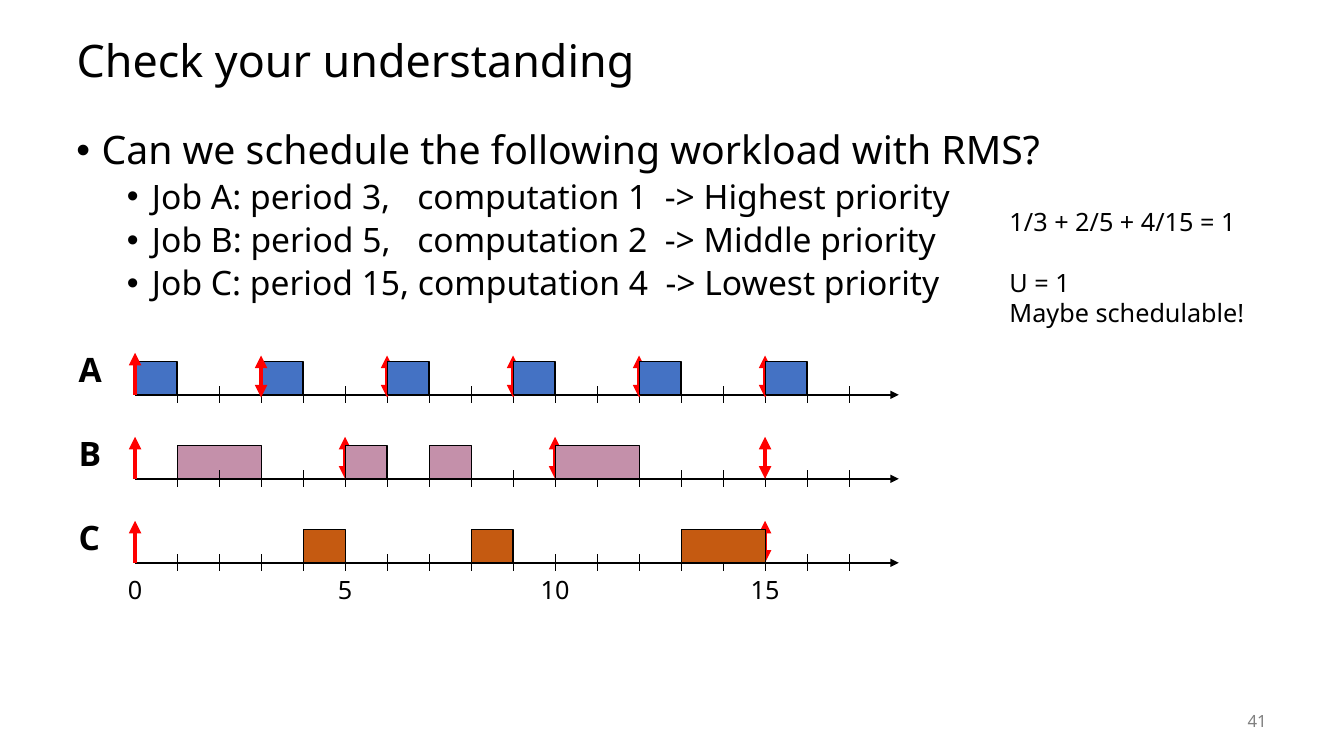
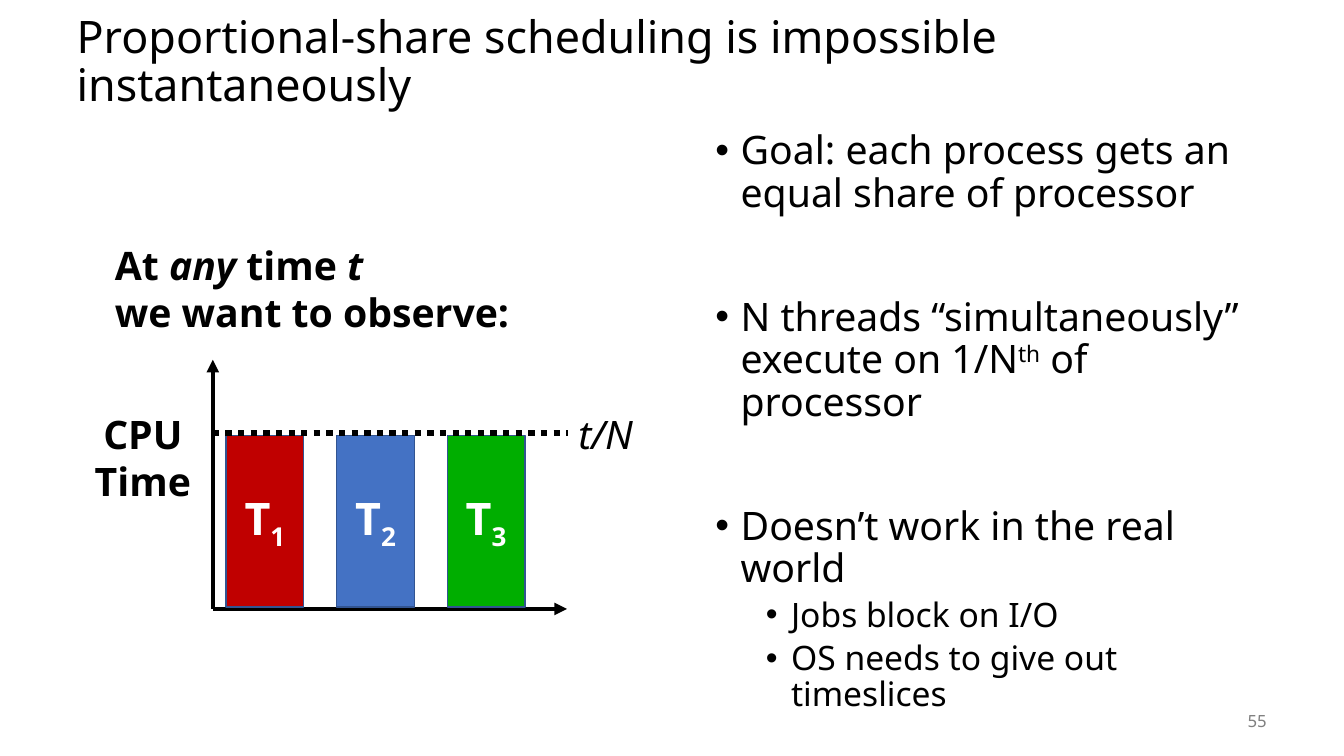
from pptx import Presentation
from pptx.dml.color import RGBColor
from pptx.enum.dml import MSO_LINE
from pptx.enum.shapes import MSO_CONNECTOR, MSO_SHAPE
from pptx.enum.text import MSO_ANCHOR, MSO_AUTO_SIZE, PP_ALIGN
from pptx.oxml.ns import qn
from pptx.util import Pt
from lxml.etree import SubElement

FONT = "Noto Sans"
COLORS = {
    "black": "000000", "white": "FFFFFF", "gray": "808080", "red": "FF0000",
    "blue": "4472C4", "pink": "C490AA", "orange": "C55A11",
    "crimson": "C00000", "green": "00AE00", "navy": "325491",
}

RMS_TITLE = "Check your understanding"
RMS_BULLETS = [
    (0, 14, "Can we schedule the following workload with RMS?"),
    (1, 5, "Job A: period 3,\tcomputation 1  -> Highest priority"),
    (1, 5, "Job B: period 5,\tcomputation 2  -> Middle priority"),
    (1, 5, "Job C: period 15, computation 4  -> Lowest priority"),
]
RMS_SUM = "1/3 + 2/5 + 4/15 = 1"
RMS_VERDICT = ["U = 1", "Maybe schedulable!"]
JOBS = [
    {"name": "A", "color": "blue", "deadlines": [3, 6, 9, 12, 15], "drop": 2,
     "under": [(0, 1), (3, 1)], "over": [(6, 1), (9, 1), (12, 1), (15, 1)]},
    {"name": "B", "color": "pink", "deadlines": [5, 10, 15], "drop": 0,
     "under": [(1, 2)], "over": [(5, 1), (7, 1), (10, 2)]},
    {"name": "C", "color": "orange", "deadlines": [15], "drop": 0,
     "under": [(4, 1)], "over": [(8, 1), (13, 2)]},
]
TIME_LABELS = [0, 5, 10, 15]

SHARE_TITLE = "Proportional-share scheduling is impossible instantaneously"
SHARE_BULLETS = [
    (0, 14, "Goal: each process gets an equal share of processor"),
    (0, 58.5, [("N threads “simultaneously” execute on 1/N", {}),
               ("th", {"base": 30}), (" of processor", {})]),
    (0, 58.5, "Doesn’t work in the real world"),
    (1, 5, "Jobs block on I/O"),
    (1, 5, "OS needs to give out timeslices"),
]
SHARE_INTRO = [
    [("At ", {}), ("any", {"italic": True}), (" time ", {}), ("t", {"italic": True})],
    "we want to observe:",
]
THREADS = [("1", "crimson"), ("2", "blue"), ("3", "green")]

ORIGIN, UNIT, FIRST_ROW, ROW_STEP = 96.5, 30, 282, 60
AXIS_END, LAST_TICK, JOB_HEIGHT = 642, 17, 24


def rgb(name):
    return RGBColor.from_string(COLORS[name])


def write_para(para, spans, size=18, color="black", bold=False, italic=False,
               align=PP_ALIGN.LEFT, spacing=1.0, before=0):
    para.alignment, para.line_spacing = align, spacing
    para.space_before = Pt(before)
    for text, extra in [(spans, {})] if isinstance(spans, str) else spans:
        span = para.add_run()
        span.text = text
        font = span.font
        font.name, font.size, font.bold = FONT, Pt(size), bold
        font.italic = extra.get("italic", italic)
        font.color.rgb = rgb(color)
        if "base" in extra:
            span._r.get_or_add_rPr().set("baseline", str(extra["base"] * 1000))


def next_para(frame):
    first = frame.paragraphs[0]
    return frame.add_paragraph() if first.runs else first


def write(frame, paragraphs, **style):
    for spans in paragraphs:
        write_para(next_para(frame), spans, **style)


def add_text(page, left, top, width, height, paragraphs, wrap=True,
             anchor=MSO_ANCHOR.TOP, **style):
    frame = page.shapes.add_textbox(Pt(left), Pt(top), Pt(width), Pt(height)).text_frame
    frame.word_wrap, frame.vertical_anchor = wrap, anchor
    write(frame, paragraphs, **style)
    return frame


def add_bullets(page, left, width, items):
    frame = add_text(page, left, 90, width, 396, [])
    for level, before, spans in items:
        para = next_para(frame)
        write_para(para, spans, size=28 - 4 * level, spacing=0.9, before=before)
        para.level = level
        props = para._p.get_or_add_pPr()
        props.set("marL", str(Pt(18 + 36 * level)))
        props.set("indent", str(Pt(-18)))
        SubElement(props, qn("a:buFont"), typeface="Arial")
        SubElement(props, qn("a:buChar"), char="•")
        if "\t" in spans:
            tabs = SubElement(props, qn("a:tabLst"))
            SubElement(tabs, qn("a:tab"), pos=str(Pt(243.5)), algn="l")


def add_line(page, x1, y1, x2, y2, width, color="black", head=False, tail=False, dash=None):
    ends = [Pt(value) for value in (x1, y1, x2, y2)]
    connector = page.shapes.add_connector(MSO_CONNECTOR.STRAIGHT, *ends)
    connector.line.width = Pt(width)
    connector.line.color.rgb = rgb(color)
    if dash:
        connector.line.dash_style = dash
    props = connector._element.spPr
    for tag, shown in (("a:headEnd", head), ("a:tailEnd", tail)):
        if shown:
            SubElement(props.find(qn("a:ln")), qn(tag), type="triangle")
    SubElement(props, qn("a:effectLst"))


def add_rect(page, left, top, width, height, fill, line, line_width):
    rect = page.shapes.add_shape(
        MSO_SHAPE.RECTANGLE, Pt(left), Pt(top), Pt(width), Pt(height))
    rect.shadow.inherit = False
    rect.fill.solid()
    rect.fill.fore_color.rgb = rgb(fill)
    rect.line.color.rgb = rgb(line)
    rect.line.width = Pt(line_width)
    return rect


def add_page(deck, title, number):
    page = deck.slides.add_slide(deck.slide_layouts[5])
    box = page.shapes.title
    box.left, box.top, box.width, box.height = Pt(47.5), Pt(18), Pt(864), Pt(54)
    frame = box.text_frame
    frame.auto_size, frame.word_wrap = MSO_AUTO_SIZE.NONE, True
    frame.vertical_anchor = MSO_ANCHOR.MIDDLE
    write(frame, [title], size=32, spacing=0.9)
    add_text(page, 840, 500.5, 72, 29, [number], size=12, color="gray",
             align=PP_ALIGN.RIGHT, anchor=MSO_ANCHOR.MIDDLE)
    return page


def time_x(time):
    return ORIGIN + UNIT * time


def add_runs(page, rows, layer):
    for base, job in rows:
        for start, length in job[layer]:
            add_rect(page, time_x(start), base - JOB_HEIGHT, UNIT * length, JOB_HEIGHT,
                     job["color"], "black", 0.75)


def build_rms(deck):
    page = add_page(deck, RMS_TITLE, "41")
    add_bullets(page, 47.5, 864, RMS_BULLETS)
    rows = [(FIRST_ROW + ROW_STEP * index, job) for index, job in enumerate(JOBS)]
    add_runs(page, rows, "under")
    for base, job in rows:
        add_line(page, ORIGIN, base, AXIS_END, base, 1.5, tail=True)
        for tick in range(1, LAST_TICK + 1):
            add_line(page, time_x(tick), base - 6, time_x(tick), base + 6, 0.75)
        add_line(page, ORIGIN, base, ORIGIN, base - 30, 3, "red", tail=True)
        for deadline in job["deadlines"]:
            low = base + job["drop"]
            add_line(page, time_x(deadline), low, time_x(deadline), low - 30, 3, "red",
                     head=True, tail=True)
        add_text(page, 49, base - 36, 37, 36, [job["name"]], size=24, bold=True)
    add_runs(page, rows, "over")
    for time in TIME_LABELS:
        add_text(page, time_x(time) - 24, 406.5, 48, 29, [str(time)], align=PP_ALIGN.CENTER)
    frame = add_text(page, 714, 143.5, 198, 94, [RMS_SUM])
    write(frame, RMS_VERDICT[:1], before=22)
    write(frame, RMS_VERDICT[1:])


def build_share(deck):
    page = add_page(deck, SHARE_TITLE, "55")
    add_bullets(page, 504, 407.5, SHARE_BULLETS)
    add_text(page, 75, 168.5, 309, 75, SHARE_INTRO, size=28, bold=True)
    left, bottom = 152, 435
    add_line(page, left, bottom, 405, bottom, 3, tail=True)
    add_line(page, left, bottom, left, 257, 3, tail=True)
    add_text(page, 60, 289.5, 84, 75, ["CPU", "Time"], wrap=False, size=28, bold=True,
             align=PP_ALIGN.CENTER)
    for index, (number, color) in enumerate(THREADS):
        bar = add_rect(page, 161.5 + 79 * index, 311, 55.5, 122.5, color, "navy", 1)
        bar.text_frame.vertical_anchor = MSO_ANCHOR.MIDDLE
        write(bar.text_frame, [[("T", {}), (number, {"base": -25})]], size=32, bold=True,
              color="white", align=PP_ALIGN.CENTER)
    add_text(page, 406, 289.5, 54, 41, ["t/N"], wrap=False, size=28, italic=True)
    add_line(page, left, 309.5, 406, 309.5, 4.5, dash=MSO_LINE.ROUND_DOT)


def main():
    deck = Presentation()
    deck.slide_width, deck.slide_height = Pt(960), Pt(540)
    build_rms(deck)
    build_share(deck)
    deck.save("out.pptx")


if __name__ == "__main__":
    main()
